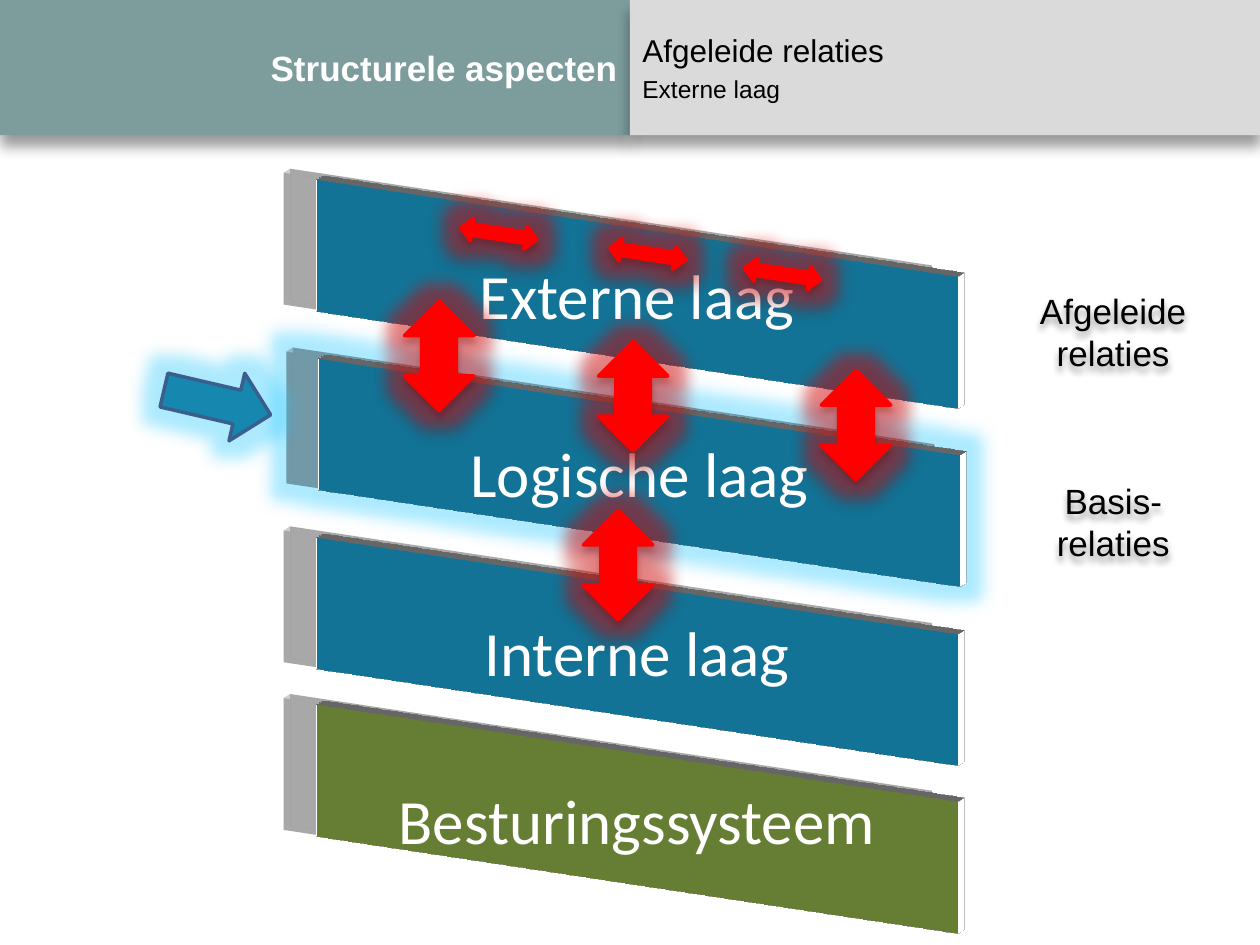
from lxml import etree
from pptx import Presentation
from pptx.dml.color import RGBColor
from pptx.enum import shapes, text
from pptx.oxml import ns
from pptx.util import Pt

RECT = shapes.MSO_SHAPE.RECTANGLE
PP = text.PP_ALIGN
RED, BLUE, GREEN, CYAN = "FF0000", "1687AF", "77933C", "33CCFF"
GLOW_RADIUS = 18


def rgb(value):
    return RGBColor.from_string(value)


def add_xml(parent, tag, **attrs):
    return etree.SubElement(parent, ns.qn(tag), {k: str(v) for k, v in attrs.items()})


def add_color(parent, value, alpha=100):
    clr = add_xml(parent, "a:srgbClr", val=value)
    if alpha < 100:
        add_xml(clr, "a:alpha", val=alpha * 1000)


def set_effects(sp, glow=None, shadow=None):
    """Glow is a colour; shadow is (alpha, blur, distance, degrees)."""
    effects = add_xml(sp._element.spPr, "a:effectLst")
    if glow:
        add_color(add_xml(effects, "a:glow", rad=Pt(GLOW_RADIUS)), glow, 40)
    if shadow:
        alpha, blur, dist, angle = shadow
        outer = add_xml(effects, "a:outerShdw", blurRad=Pt(blur), dist=Pt(dist),
                        dir=angle * 60000, rotWithShape=0)
        add_color(outer, "000000", alpha)


def add_box(parent, kind, box, fill, line=None, glow=None, shadow=None):
    sp = parent.shapes.add_shape(kind, *map(Pt, box))
    sp.fill.solid()
    sp.fill.fore_color.rgb = rgb(fill)
    if line:
        sp.line.color.rgb = rgb(line)
        sp.line.width = Pt(2)
    else:
        sp.line.fill.background()
    set_effects(sp, glow, shadow)
    return sp


def write(sp, lines, sizes, color, font="Arial", align=PP.CENTER, bold=False):
    tf = sp.text_frame
    tf.text = "\n".join(lines)
    for p, size in zip(tf.paragraphs, sizes):
        p.alignment = align
        p.font.size = Pt(size)
        p.font.name = font
        p.font.bold = bold
        p.font.color.rgb = rgb(color)
    return tf


def add_header(s, x, y, w, h):
    half = w / 2
    shadow = (40, 8, 6, 90)
    topic = add_box(s, RECT, (x, y, half, h), "7D9D9D", shadow=shadow)
    write(topic, ["Structurele aspecten"], [20], "FFFFFF", align=PP.RIGHT, bold=True)
    detail = add_box(s, RECT, (x + half, y, half, h), "DADADA", shadow=shadow)
    tf = write(detail, ["Afgeleide relaties", "Externe laag"], [18, 14], "000000",
               align=PP.LEFT)
    tf.paragraphs[1].space_before = Pt(3)


def add_layer(s, name, box, fill, glow=None):
    """Thin slab seen at an angle, lit from the right."""
    sp = add_box(s, RECT, box, fill, "D9D9D9", glow, (18, 14.5, 19, 192))
    scene = add_xml(sp._element.spPr, "a:scene3d")
    add_xml(scene, "a:camera", prst="isometricOffAxis2Left")
    rig = add_xml(scene, "a:lightRig", rig="flood", dir="t")
    add_xml(rig, "a:rot", lat=0, lon=0, rev=230 * 60000)
    solid = add_xml(sp._element.spPr, "a:sp3d", extrusionH=Pt(8.5),
                    prstMaterial="plastic")
    add_color(add_xml(solid, "a:extrusionClr"), "FFFFFF")
    write(sp, [name], [36], "FFFFFF", "Calibri")


def add_layers(s, x, y, w, h):
    pitch = 102.2
    add_layer(s, "Interne laag", (x, y + 2 * pitch, w, h), BLUE)
    add_layer(s, "Logische laag", (x + 1.5, y + pitch, w, h), BLUE, CYAN)
    add_layer(s, "Externe laag", (x, y, w, h), BLUE)
    add_layer(s, "Besturingssysteem", (x, y + 300.2, w, h), GREEN)


def add_pointer(s, box):
    sp = add_box(s, shapes.MSO_SHAPE.RIGHT_ARROW, box, BLUE, "3A5F8C", CYAN)
    sp.rotation = 13.1


def add_label(s, lines, x, y, w, h):
    sp = s.shapes.add_textbox(Pt(x), Pt(y), Pt(w), Pt(h))
    set_effects(sp, shadow=(40, 4, 3, 90))
    write(sp, lines, [20, 20], "000000").word_wrap = False


def add_red_arrows(parent, spots, w, h, rotation=0):
    for x, y in spots:
        sp = add_box(parent, shapes.MSO_SHAPE.UP_DOWN_ARROW, (x, y, w, h), RED, RED,
                     RED, (40, 4, 3, 90))
        sp.rotation = rotation


def main():
    prs = Presentation()
    prs.slide_width, prs.slide_height = Pt(720), Pt(540)
    s = prs.slides.add_slide(prs.slide_layouts[6])
    add_header(s, 0, 0, 720, 77.2)
    add_layers(s, 160, 128.4, 408, 79.2)
    add_pointer(s, (92.9, 210.2, 62.6, 39.6))
    add_label(s, ["Afgeleide", "relaties"], 586.8, 162, 98.6, 55.4)
    add_label(s, ["Basis-", "relaties"], 596.2, 270.7, 80, 55.4)
    between_layers = [(231.1, 172.1), (469.4, 211.7), (342, 195.1), (333.4, 291.6)]
    add_red_arrows(s, between_layers, 39.6, 62.6)
    within_layer = [(278.6, 111.6), (363.6, 123.1), (440.6, 134.6)]
    add_red_arrows(s.shapes.add_group_shape(), within_layer, 13, 43.9, 278.8)
    prs.save("out.pptx")


if __name__ == "__main__":
    main()
